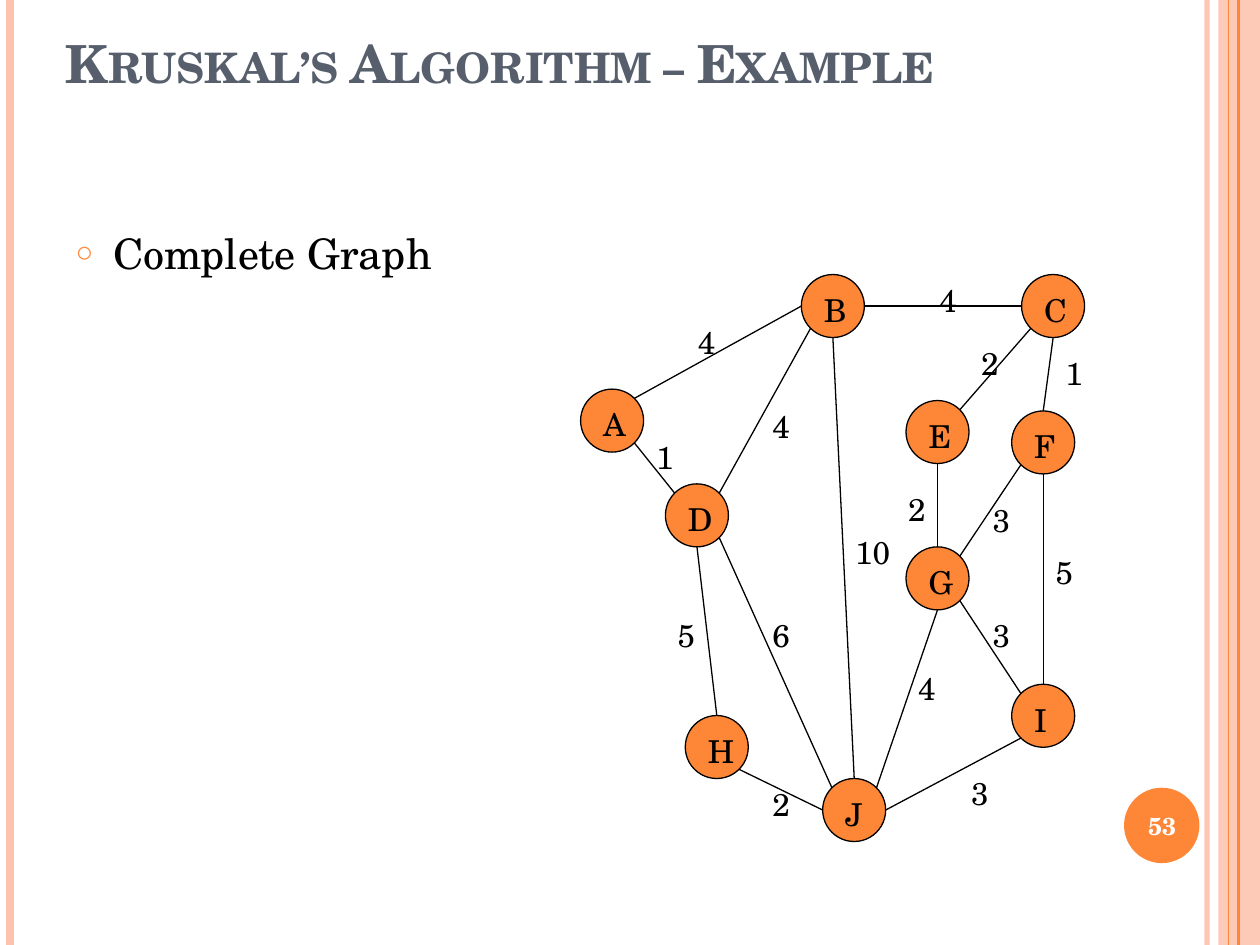
"""Build the slide showing the starting graph for Kruskal's algorithm."""
from math import copysign, sqrt

from lxml.etree import SubElement
from pptx import Presentation
from pptx.dml.color import RGBColor
from pptx.enum.shapes import MSO_CONNECTOR, MSO_SHAPE
from pptx.enum.text import MSO_ANCHOR, MSO_AUTO_SIZE, PP_ALIGN
from pptx.oxml.ns import qn
from pptx.util import Cm, Pt

TITLE = "Kruskal’s Algorithm – Example"
BODY = "Complete Graph"
NUMBER = "53"

THEME = {
    "font": "TeX Gyre Schola",
    "orange": "FE8637", "pale": "FEC3AE", "slate": "575F6D",
    "black": "000000", "white": "FFFFFF",
    "title": 30, "body": 24, "label": 18, "number": 14,
    "thin": 0.75,
}

# name: (centre x, centre y, label width)
NODES = {
    "A": (12.34, 8.48, 0.89), "B": (16.79, 6.17, 0.89),
    "C": (21.23, 6.17, 0.89), "D": (14.05, 10.39, 0.94),
    "E": (18.9, 8.71, 0.86), "F": (21.03, 8.92, 0.84),
    "G": (18.9, 11.66, 0.94), "H": (14.45, 15.06, 0.94),
    "I": (21.03, 14.43, 0.76), "J": (17.22, 16.33, 0.79),
}
EDGES = [
    ("B", "right", "C", "left", "4", 18.69, 5.54),
    ("B", "bottom left", "D", "top right", "4", 15.32, 8.08),
    ("D", "bottom right", "J", "top left", "6", 15.32, 12.29),
    ("J", "top right", "G", "bottom", "4", 18.26, 13.36),
    ("F", "bottom left", "G", "top right", "3", 19.76, 9.98),
    ("E", "bottom", "G", "top", "2", 18.06, 9.75),
    ("B", "bottom", "J", "top", "10", 16.99, 10.62),
    ("C", "bottom left", "E", "top right", "2", 19.53, 6.81),
    ("C", "bottom", "F", "top", "1", 21.23, 7.01),
    ("J", "right", "I", "bottom left", "3", 19.33, 15.47),
    ("J", "left", "H", "bottom right", "2", 15.32, 15.7),
    ("D", "top left", "A", "bottom right", "1", 12.98, 8.71),
    ("I", "top left", "G", "bottom right", "3", 19.76, 12.29),
    ("F", "bottom", "I", "top", "5", 21.03, 11.02),
    ("A", "top right", "B", "left", "4", 13.82, 6.38),
    ("D", "bottom", "H", "top", "5", 13.41, 12.29),
]
STRIPES = [(24.33, "pale", 3, 93), (0.2, "pale", 4.5, 100),
           (24.97, "orange", 1.5, 100), (24.77, "orange", 0.75, 100)]

WIDTH, HEIGHT = 25.4, 19.05
RADIUS = 0.635
LABEL_SHIFT, LABEL_HEIGHT = 0.43, 1.02
STEPS = {"left": (-1, 0), "right": (1, 0), "top": (0, -1), "bottom": (0, 1)}


def color(name):
    return RGBColor.from_string(THEME[name])


def set_alpha(s, percent):
    if percent < 100:
        clr = next(s._element.iter(qn("a:srgbClr")))
        SubElement(clr, qn("a:alpha"), val=str(percent * 1000))


def write(s, text, size, ink, align=PP_ALIGN.LEFT, **fmt):
    tf = s.text_frame
    p = tf.paragraphs[0]
    p.alignment = align
    r = p.add_run()
    r.text = text
    for key, value in {"name": THEME["font"], "size": Pt(THEME[size]), **fmt}.items():
        setattr(r.font, key, value)
    r.font.color.rgb = color(ink)
    return p, r


def add_line(shapes, start, end, ink, width):
    s = shapes.add_connector(MSO_CONNECTOR.STRAIGHT, *map(Cm, (*start, *end)))
    s.line.color.rgb = color(ink)
    s.line.width = Pt(width)
    SubElement(s._element.spPr, qn("a:effectLst"))
    return s


def add_filled(shapes, kind, box, fill, outline=None):
    s = shapes.add_shape(kind, *map(Cm, box))
    s.shadow.inherit = False
    s.fill.solid()
    s.fill.fore_color.rgb = color(fill)
    if outline:
        s.line.color.rgb = color(outline)
        s.line.width = Pt(THEME["thin"])
    else:
        s.line.fill.background()
    return s


def add_label(shapes, text, x, y, width):
    s = shapes.add_textbox(*map(Cm, (x, y, width, LABEL_HEIGHT)))
    s.text_frame.word_wrap = False
    s.text_frame.auto_size = MSO_AUTO_SIZE.SHAPE_TO_FIT_TEXT
    write(s, text, "label", "black")


def rim_point(node, side):
    x, y, _ = NODES[node]
    steps = [STEPS[word] for word in side.split()]
    reach = RADIUS / sqrt(len(steps))
    dx, dy = (sum(axis) for axis in zip(*steps))
    return x + copysign(reach, dx) * abs(dx), y + copysign(reach, dy) * abs(dy)


def place(s, box, anchor):
    s.left, s.top, s.width, s.height = map(Cm, box)
    for key, value in {"word_wrap": True, "auto_size": MSO_AUTO_SIZE.NONE,
                       "vertical_anchor": anchor}.items():
        setattr(s.text_frame, key, value)


def add_bullet(p):
    pPr = p._p.get_or_add_pPr()
    pPr.set("marL", str(Cm(0.76)))
    pPr.set("indent", str(-Cm(0.76)))
    SubElement(SubElement(pPr, qn("a:buClr")), qn("a:srgbClr"), val=THEME["orange"])
    SubElement(pPr, qn("a:buSzPct"), val="70000")
    SubElement(pPr, qn("a:buChar"), char="○")
    p.space_before = Pt(0)


def add_decor(shapes):
    for x, ink, width, alpha in STRIPES:
        set_alpha(add_line(shapes, (x, 0), (x, HEIGHT), ink, width), alpha)
    band = add_filled(shapes, MSO_SHAPE.RECTANGLE, (24.56, 0, 0.84, HEIGHT), "pale")
    set_alpha(band, 87)
    shapes._spTree.remove(band._element)
    shapes._spTree.insert(2, band._element)
    add_filled(shapes, MSO_SHAPE.OVAL, (22.66, 15.88, 1.52, 1.52), "orange")
    s = shapes.add_textbox(0, 0, 0, 0)
    place(s, (22.58, 15.93, 1.7, 1.45), MSO_ANCHOR.MIDDLE)
    write(s, NUMBER, "number", "white", PP_ALIGN.CENTER, bold=True)


def add_graph(shapes):
    for x, y, _ in NODES.values():
        box = (x - RADIUS, y - RADIUS, 2 * RADIUS, 2 * RADIUS)
        add_filled(shapes, MSO_SHAPE.OVAL, box, "orange", "black")
    for a, side_a, b, side_b, weight, x, y in EDGES:
        add_line(shapes, rim_point(a, side_a), rim_point(b, side_b), "black", THEME["thin"])
        add_label(shapes, weight, x, y, 0.5 + 0.36 * len(weight))
    for name, (x, y, width) in NODES.items():
        add_label(shapes, name, x - LABEL_SHIFT, y - LABEL_SHIFT, width)


def main():
    prs = Presentation()
    prs.slide_width, prs.slide_height = Cm(WIDTH), Cm(HEIGHT)
    slide = prs.slides.add_slide(prs.slide_layouts[1])
    title, body = slide.placeholders
    place(title, (1.07, 0.2, 20.75, 1.83), MSO_ANCHOR.BOTTOM)
    _, r = write(title, TITLE, "title", "slate", bold=True)
    r.font._element.set("cap", "small")
    place(body, (1.27, 4.45, 20.75, 13.54), MSO_ANCHOR.TOP)
    p, _ = write(body, BODY, "body", "black")
    add_bullet(p)
    add_decor(slide.shapes)
    add_graph(slide.shapes.add_group_shape().shapes)
    prs.save("out.pptx")


if __name__ == "__main__":
    main()
